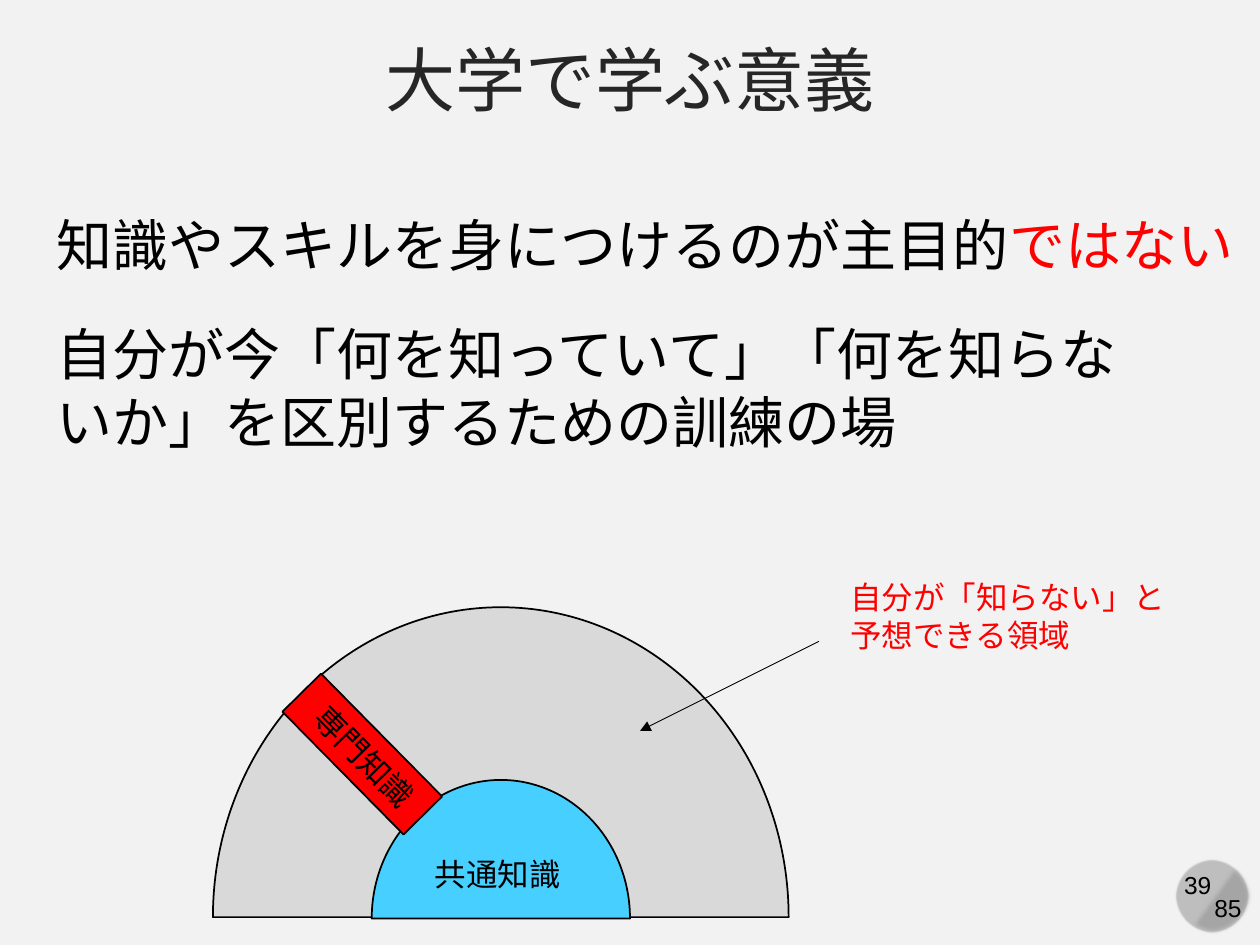
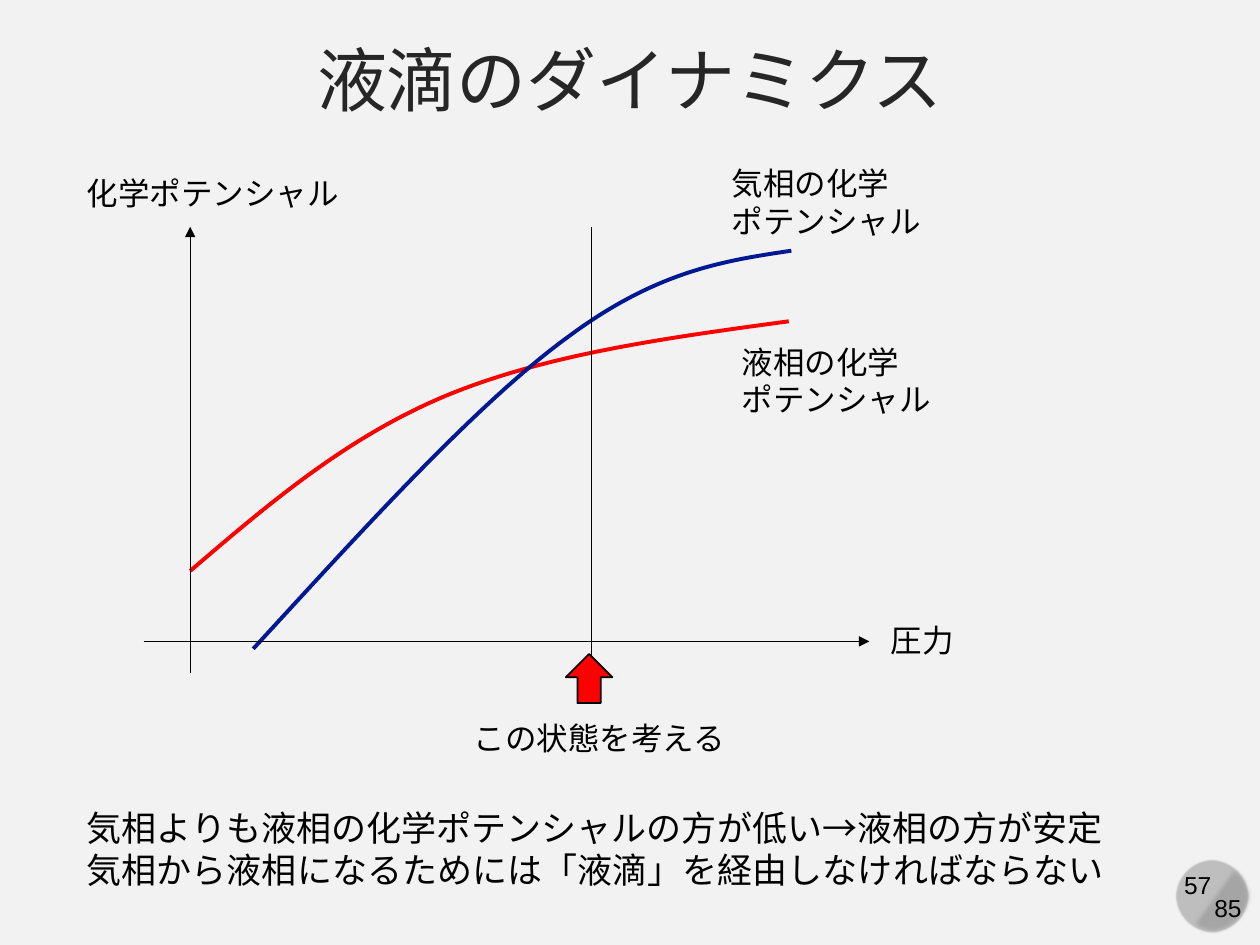
from dataclasses import dataclass
from typing import Optional

import lxml.etree
import pptx
import pptx.dml.color
import pptx.enum.shapes
import pptx.enum.text
import pptx.oxml
import pptx.oxml.ns
import pptx.util

Pt = pptx.util.Pt
RGBColor = pptx.dml.color.RGBColor
SHAPE = pptx.enum.shapes.MSO_SHAPE
ALIGN = pptx.enum.text.PP_ALIGN
qn = pptx.oxml.ns.qn

BACKGROUND = RGBColor(0xF2, 0xF2, 0xF2)
TITLE_COLOR = RGBColor(0x26, 0x26, 0x26)
BLACK = RGBColor(0, 0, 0)
RED = RGBColor(0xFF, 0, 0)
NAVY = RGBColor(0x01, 0x18, 0x93)
SKY = RGBColor(0x47, 0xCF, 0xFF)
GRAY = RGBColor(0xD9, 0xD9, 0xD9)
BADGE_LIGHT = RGBColor(0xBF, 0xBF, 0xBF)
BADGE_DARK = RGBColor(0xA6, 0xA6, 0xA6)
FONT = "Arial"
PAGE_COUNT = 85


@dataclass
class Label:
    """A text box; lengths in points, newlines separate paragraphs."""
    text: str
    x: float
    y: float
    w: float
    h: float = 28.8
    size: float = 18
    color: RGBColor = BLACK
    align: ALIGN = ALIGN.LEFT
    rotation: float = 0
    wrap: bool = False
    red_tail: str = ""


@dataclass
class Figure:
    """A filled preset shape; lengths in points."""
    kind: SHAPE
    x: float
    y: float
    w: float
    h: float
    fill: RGBColor
    line: Optional[RGBColor] = BLACK
    rotation: float = 0
    adjust: tuple[float, ...] = ()
    soft_edge: float = 0


@dataclass
class Line:
    """A thin straight line between two points."""
    x1: float
    y1: float
    x2: float
    y2: float
    arrow: bool = True


@dataclass
class Curve:
    """A start point followed by three points for each Bezier segment."""
    color: RGBColor
    points: list[tuple[float, float]]


def format_run(r, size: float, color: RGBColor) -> None:
    """Apply the deck font to a run."""
    r.font.name = FONT
    r.font.size = Pt(size)
    r.font.color.rgb = color


def add_label(s, label: Label) -> None:
    """Draw a text box."""
    sp = s.shapes.add_textbox(Pt(label.x), Pt(label.y), Pt(label.w), Pt(label.h))
    sp.rotation = label.rotation
    tf = sp.text_frame
    tf.text = label.text
    tf.word_wrap = label.wrap
    tf.auto_size = pptx.enum.text.MSO_AUTO_SIZE.SHAPE_TO_FIT_TEXT
    for p in tf.paragraphs:
        p.alignment = label.align
        for r in p.runs:
            format_run(r, label.size, label.color)
    if label.red_tail:
        r = tf.paragraphs[-1].add_run()
        r.text = label.red_tail
        format_run(r, label.size, RED)


def add_figure(s, fig: Figure) -> None:
    """Draw a preset shape, with a soft edge if asked for."""
    sp = s.shapes.add_shape(fig.kind, Pt(fig.x), Pt(fig.y), Pt(fig.w), Pt(fig.h))
    sp.rotation = fig.rotation
    for i, value in enumerate(fig.adjust):
        sp.adjustments[i] = value
    sp.fill.solid()
    sp.fill.fore_color.rgb = fig.fill
    if fig.line is None:
        sp.line.fill.background()
    else:
        sp.line.color.rgb = fig.line
        sp.line.width = Pt(1)
    sp.shadow.inherit = False
    if fig.soft_edge:
        effects = sp._element.spPr.find(qn("a:effectLst"))
        lxml.etree.SubElement(effects, qn("a:softEdge"), rad=str(Pt(fig.soft_edge)))


def add_line(s, line: Line) -> None:
    """Draw a straight line with an optional arrowhead at its end."""
    sp = s.shapes.add_connector(pptx.enum.shapes.MSO_CONNECTOR.STRAIGHT,
                                Pt(line.x1), Pt(line.y1), Pt(line.x2), Pt(line.y2))
    sp.line.color.rgb = BLACK
    sp.line.width = Pt(0.5)
    spPr = sp._element.spPr
    if line.arrow:
        lxml.etree.SubElement(spPr.find(qn("a:ln")), qn("a:tailEnd"), type="triangle")
    lxml.etree.SubElement(spPr, qn("a:effectLst"))


def add_curve(s, curve: Curve) -> None:
    """Draw a smooth open curve made of cubic Bezier segments."""
    start, *rest = [(Pt(x), Pt(y)) for x, y in curve.points]
    builder = s.shapes.build_freeform(*start)
    builder.add_line_segments(rest, close=False)
    sp = builder.convert_to_shape()
    sp.fill.background()
    sp.line.color.rgb = curve.color
    sp.line.width = Pt(2.25)
    sp.shadow.inherit = False
    outline = next(sp._element.iter(qn("a:path")))
    steps = outline.findall(qn("a:lnTo"))
    for i in range(0, len(steps), 3):
        bezier = lxml.etree.SubElement(outline, qn("a:cubicBezTo"))
        for step in steps[i:i + 3]:
            bezier.append(step[0])
            outline.remove(step)


def add_title(s, text: str) -> None:
    """Place and format the slide title."""
    sp = s.shapes.title
    sp.left, sp.top, sp.width, sp.height = Pt(0), Pt(15.1), Pt(720), Pt(59)
    tf = sp.text_frame
    tf.text = text
    tf.word_wrap = True
    tf.auto_size = pptx.enum.text.MSO_AUTO_SIZE.NONE
    tf.vertical_anchor = pptx.enum.text.MSO_ANCHOR.MIDDLE
    p = tf.paragraphs[0]
    p.alignment = ALIGN.CENTER
    format_run(p.runs[0], 40, TITLE_COLOR)


def add_page_badge(s, page: int) -> None:
    """Draw the round badge with page number and page count."""
    add_figure(s, Figure(SHAPE.OVAL, 671.8, 491, 41.8, 41.8, BADGE_LIGHT, GRAY,
                         soft_edge=1))
    add_figure(s, Figure(SHAPE.CHORD, 671, 489.6, 44.6, 44.6, BADGE_DARK, None, 255,
                         (27, 141.42), soft_edge=2.5))
    for number, x, y in ((page, 668.9, 493.9), (PAGE_COUNT, 686.2, 506.9)):
        add_label(s, Label(str(number), x, y, 31, 24.5, 14, align=ALIGN.CENTER))


DRAW = {Label: add_label, Figure: add_figure, Line: add_line, Curve: add_curve}


def add_slide(prs, title: str, page: int, items: list) -> None:
    """Add a slide with title, badge and its items from back to front."""
    s = prs.slides.add_slide(prs.slide_layouts[5])
    add_title(s, title)
    add_page_badge(s, page)
    for item in items:
        DRAW[type(item)](s, item)


HALF_DISC = (108, 216)

LEARNING = [
    Figure(SHAPE.PIE, 121.7, 347, 329, 354.2, GRAY, adjust=HALF_DISC),
    Label("知識やスキルを身につけるのが主目的", 25.2, 116.6, 693.4, 46.1, 32,
          red_tail="ではない"),
    Label("自分が今「何を知っていて」「何を知らないか」を区別するための訓練の場",
          25.2, 179.3, 640.8, 85, 32, wrap=True),
    Figure(SHAPE.PIE, 212.4, 445.7, 147.6, 158.4, SKY, adjust=HALF_DISC),
    Figure(SHAPE.RECTANGLE, 157.7, 415.4, 98.6, 31, RED, rotation=225.4),
    Label("共通知識", 241.2, 485.3, 87.1),
    Label("専門知識", 164.9, 418.3, 87.1, rotation=45.5),
    Line(468, 366.5, 365.8, 417.6),
    Label("自分が「知らない」と\n予想できる領域", 478.8, 326.9, 196.6, 51.1, color=RED),
]

DROPLET = [
    Label("液相の化学\nポテンシャル", 416.9, 192.2, 123.8, 51.1),
    Label("気相の化学\nポテンシャル", 411.1, 90, 123.8, 51.1),
    Label("化学ポテンシャル", 42.5, 95.8, 159.8),
    Label("圧力", 501.8, 351.4, 51.1),
    Curve(RED, [(108.7, 326.2), (153.4, 288), (198, 249.8), (254.9, 226.1),
                (312.5, 202.3), (381.6, 193), (450.7, 183.6)]),
    Curve(NAVY, [(144.7, 370.8), (208.8, 301), (272.9, 230.4), (324, 193),
                 (375.1, 154.8), (414, 149), (452.2, 143.3)]),
    Line(108.7, 384.5, 108.7, 129.6),
    Line(82.1, 366.5, 496.8, 366.5),
    Line(337.7, 129.6, 337.7, 379.4, arrow=False),
    Label("この状態を考える", 263.5, 407.5, 159.8),
    Figure(SHAPE.RIGHT_ARROW, 322.6, 374.4, 28.1, 26.6, RED, rotation=270),
    Label("気相よりも液相の化学ポテンシャルの方が低い→液相の方が安定\n"
          "気相から液相になるためには「液滴」を経由しなければならない",
          42.5, 457.2, 600.5, 55.4, 20),
]


def main() -> None:
    """Build and save the deck."""
    prs = pptx.Presentation()
    prs.slide_width, prs.slide_height = Pt(720), Pt(540)
    fill = prs.slide_master.background.fill
    fill.solid()
    fill.fore_color.rgb = BACKGROUND
    add_slide(prs, "大学で学ぶ意義", 39, LEARNING)
    add_slide(prs, "液滴のダイナミクス", 57, DROPLET)
    prs.save("out.pptx")


main()
